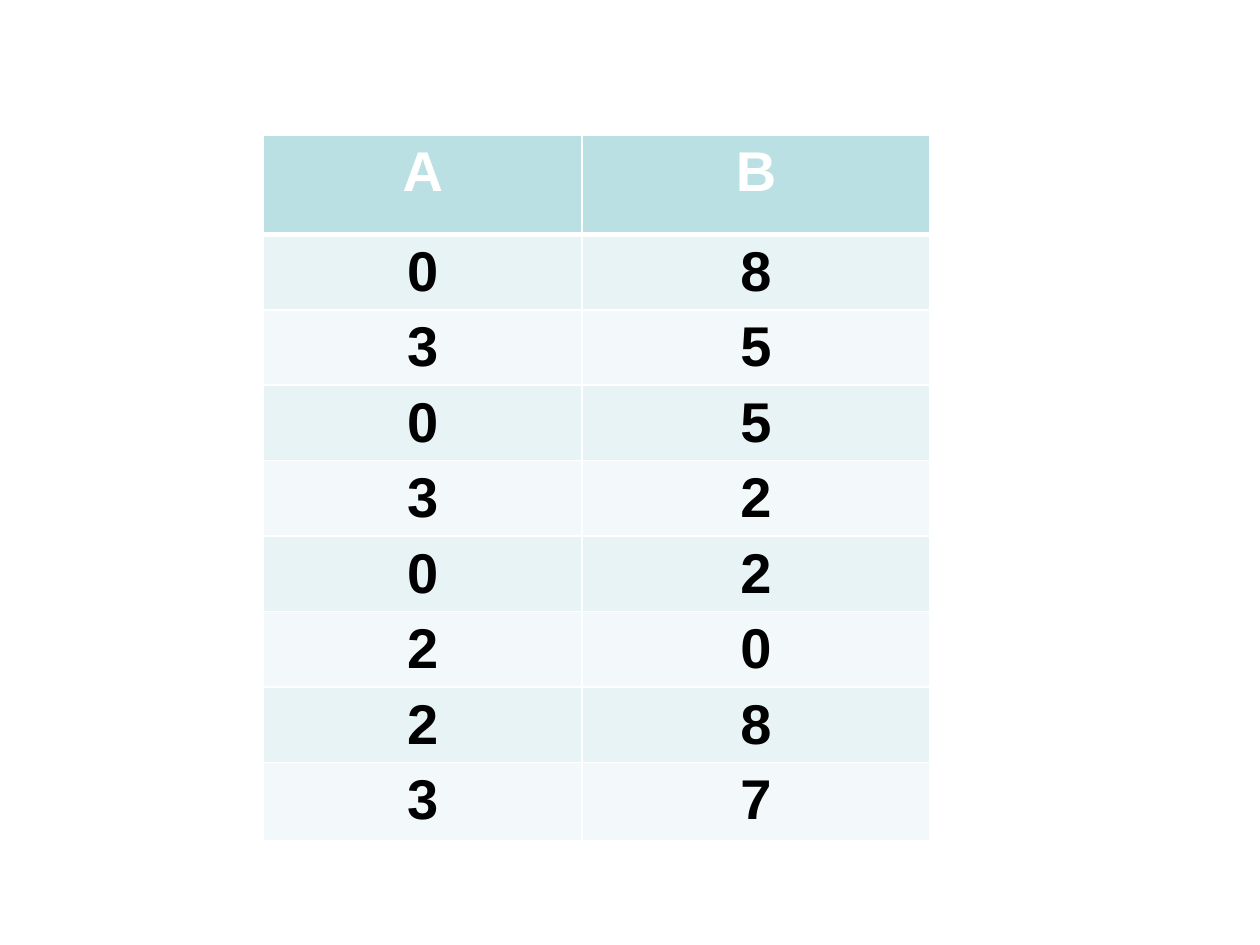
from lxml.etree import SubElement as Sub
from pptx import Presentation as Deck
from pptx.dml.color import RGBColor as Rgb
from pptx.enum.text import PP_ALIGN as Align
from pptx.oxml.ns import qn
from pptx.util import Inches as In, Pt

HUES = {"head": "BBE0E3", "odd": "E7F3F4", "even": "F3F9FA",
        "white": "FFFFFF", "black": "000000"}
DATA = ["AB", "08", "35", "05", "32", "02", "20", "28", "37"]
COLS = [2.53, 2.76]
ROWS = [0.79] + [0.38] * 7 + [0.62]


def write(frame, text, size=32, hue="black", bold=True, align=Align.CENTER):
    para = frame.paragraphs[0]
    para.alignment = align
    run = para.add_run()
    run.text = text
    font = run.font
    font.name, font.size, font.bold = "Arial", Pt(size), bold
    font.color.rgb = Rgb.from_string(HUES[hue])


def edge(cell, top, base):
    props = cell._tc.get_or_add_tcPr()
    for side, width in zip("LRTB", (1, 1, top, base)):
        line = Sub(props, qn(f"a:ln{side}"), w=str(Pt(width)))
        fill = Sub(line, qn("a:solidFill"))
        Sub(fill, qn("a:srgbClr"), val=HUES["white"])


def paint(cell, hue):
    cell.fill.solid()
    cell.fill.fore_color.rgb = Rgb.from_string(HUES[hue])


def grid(slide, left, top, width, height):
    box = slide.shapes.add_table(len(ROWS), len(COLS), left, top, width, height)
    table = box.table
    for col, size in zip(table.columns, COLS):
        col.width = In(size)
    for row, size in zip(table.rows, ROWS):
        row.height = In(size)
    box.height = height
    for r, line in enumerate(DATA):
        band = "head" if r == 0 else "odd" if r % 2 else "even"
        for c, text in enumerate(line):
            cell = table.cell(r, c)
            edge(cell, 3 if r == 1 else 1, 3 if r == 0 else 1)
            paint(cell, band)
            write(cell.text_frame, text, hue="black" if r else "white")


def main():
    deck = Deck()
    deck.slide_width, deck.slide_height = In(10), In(7.5)
    slide = deck.slides.add_slide(deck.slide_layouts[6])
    grid(slide, In(2.09), In(1.07), In(sum(COLS)), In(5.85))
    deck.save("out.pptx")


if __name__ == "__main__":
    main()
